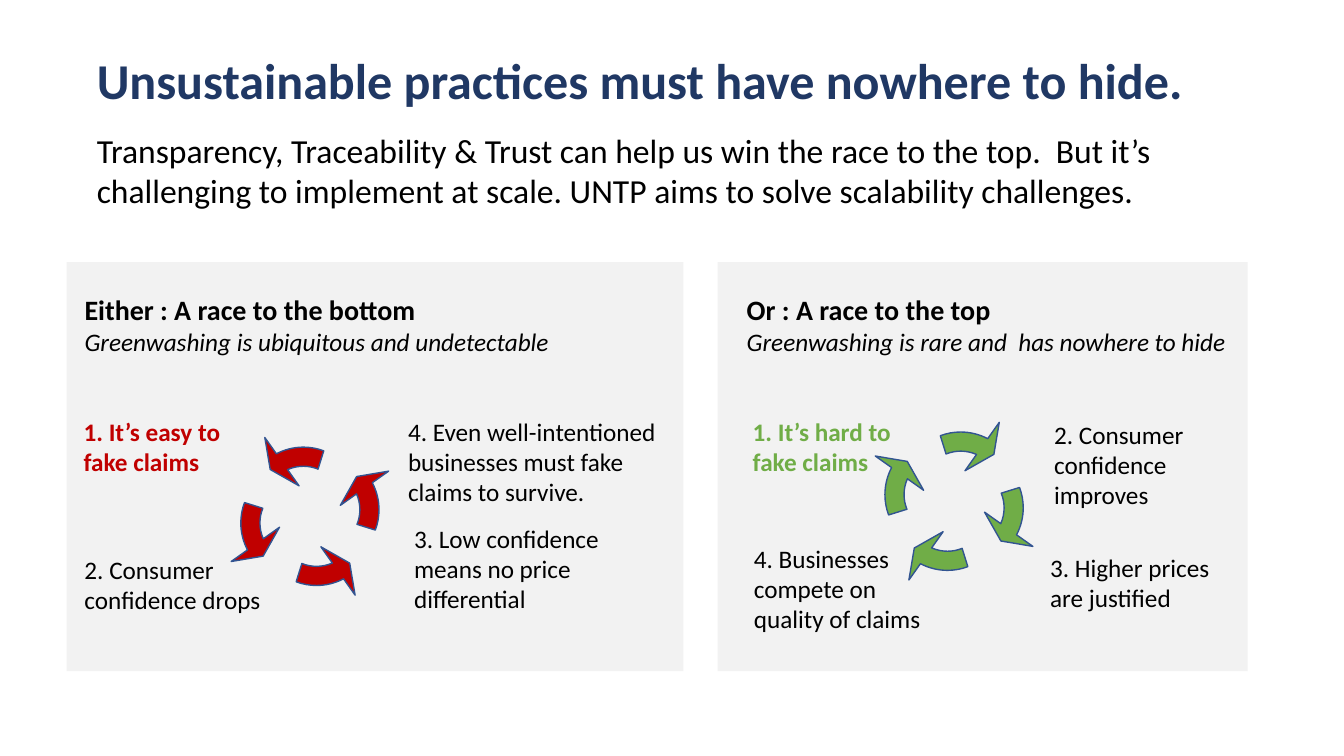
"""Build the slide that contrasts a race to the bottom with a race to the top."""
import math
from dataclasses import dataclass

import pptx
import pptx.dml.color
import pptx.enum.shapes
import pptx.enum.text
import pptx.oxml.ns
import pptx.shapes.autoshape
import pptx.shapes.group
import pptx.text.text
import pptx.util

Pt = pptx.util.Pt
RGBColor = pptx.dml.color.RGBColor
Shape = pptx.shapes.autoshape.Shape
GroupShape = pptx.shapes.group.GroupShape

NAVY = RGBColor(0x20, 0x38, 0x64)
BLACK = RGBColor(0, 0, 0)
PANEL_GREY = RGBColor(0xF2, 0xF2, 0xF2)
RED = RGBColor(0xC0, 0, 0)
GREEN = RGBColor(0x70, 0xAD, 0x47)
OUTLINE_BLUE = RGBColor(0x32, 0x54, 0x91)

FONT = "Calibri"
PANEL_TOP, PANEL_HEIGHT = 187.2, 292.3
HEADING_TOP, HEADING_WIDTH, HEADING_HEIGHT = 205.2, 359.3, 53.3
ARROW_WIDTH, ARROW_HEIGHT, ARROW_SPREAD = 127.4, 118.8, 4.7
ARROW_THICKNESS, ARROW_HEAD_WIDTH = 0.115, 0.178
ARROW_ANGLES = (13.89, 201.44, 162.72)
DEGREE = 0.6


@dataclass(frozen=True)
class Frame:
    left: float
    top: float
    width: float
    height: float


@dataclass(frozen=True)
class Span:
    text: str
    size: float = 18
    color: RGBColor = BLACK
    bold: bool = False
    italic: bool = False


@dataclass(frozen=True)
class Step:
    text: str
    frame: Frame


@dataclass(frozen=True)
class Race:
    left: float
    width: float
    heading_left: float
    heading: str
    subheading: str
    color: RGBColor
    ring_left: float
    ring_top: float
    mirrored: bool
    steps: tuple[Step, ...]


RACES = (
    Race(
        512.6, 378.7, 526.3, "Or : A race to the top",
        "Greenwashing is rare and  has nowhere to hide",
        GREEN, 617.8, 298.6, False,
        (
            Step("1. It’s hard to fake claims", Frame(530.6, 293.8, 118.8, 51)),
            Step("2. Consumer confidence improves", Frame(745.9, 295.9, 123.1, 72.7)),
            Step("3. Higher prices are justified", Frame(743, 391, 142.6, 51)),
            Step("4. Businesses compete on quality of claims", Frame(531.4, 384.5, 155.5, 72.7)),
        ),
    ),
    Race(
        47.5, 440.6, 53.3, "Either : A race to the bottom",
        "Greenwashing is ubiquitous and undetectable",
        RED, 157.7, 309.4, True,
        (
            Step("1. It’s easy to fake claims", Frame(52.6, 293.8, 118.8, 51)),
            Step("2. Consumer confidence drops", Frame(53.3, 392.4, 155.5, 51)),
            Step("3. Low confidence means no price differential", Frame(288.7, 370.1, 147.6, 72.7)),
            Step("4. Even well-intentioned businesses must fake claims to survive.",
                 Frame(284.4, 293.8, 203.8, 72.7)),
        ),
    ),
)


def place(box: Shape, frame: Frame) -> None:
    """Move and size a box."""
    box.left, box.top = Pt(frame.left), Pt(frame.top)
    box.width, box.height = Pt(frame.width), Pt(frame.height)


def write(box: Shape, spans: tuple[Span, ...], wrap: bool = True) -> None:
    """Write one left-aligned paragraph for each span."""
    text_frame = box.text_frame
    text_frame.word_wrap = wrap
    text_frame.auto_size = pptx.enum.text.MSO_AUTO_SIZE.SHAPE_TO_FIT_TEXT
    text_frame.vertical_anchor = pptx.enum.text.MSO_ANCHOR.TOP
    for index, span in enumerate(spans):
        para = text_frame.add_paragraph() if index else text_frame.paragraphs[0]
        para.alignment = pptx.enum.text.PP_ALIGN.LEFT
        para.space_before = Pt(0)
        run = para.add_run()
        run.text = span.text
        font = run.font
        font.name, font.size = FONT, Pt(span.size)
        font.bold, font.italic = span.bold, span.italic
        font.color.rgb = span.color


def remove_bullet(para: pptx.text.text._Paragraph) -> None:
    """Clear the bullet and the indent of a body paragraph."""
    properties = para._p.get_or_add_pPr()
    properties.set("marL", "0")
    properties.set("indent", "0")
    properties.append(pptx.oxml.parse_xml(f"<a:buNone {pptx.oxml.ns.nsdecls('a')}/>"))


def add_text(group: GroupShape, frame: Frame, *spans: Span) -> None:
    """Add a text box to a group."""
    box = group.shapes.add_textbox(
        Pt(frame.left), Pt(frame.top), Pt(frame.width), Pt(frame.height))
    write(box, spans)


def add_filled(group: GroupShape, kind: pptx.enum.shapes.MSO_SHAPE,
               frame: Frame, color: RGBColor) -> Shape:
    """Add a flat filled shape to a group."""
    shape = group.shapes.add_shape(
        kind, Pt(frame.left), Pt(frame.top), Pt(frame.width), Pt(frame.height))
    shape.shadow.inherit = False
    shape.fill.solid()
    shape.fill.fore_color.rgb = color
    return shape


def add_ring(group: GroupShape, race: Race) -> None:
    """Add four arrows that chase each other round a circle."""
    for rotation in (0, 270, 180, 90):
        angle = math.radians(rotation)
        frame = Frame(race.ring_left + ARROW_SPREAD * math.sin(angle),
                      race.ring_top - ARROW_SPREAD * math.cos(angle),
                      ARROW_WIDTH, ARROW_HEIGHT)
        arrow = add_filled(group, pptx.enum.shapes.MSO_SHAPE.CIRCULAR_ARROW, frame, race.color)
        adjustments = (ARROW_THICKNESS, *(value * DEGREE for value in ARROW_ANGLES),
                       ARROW_HEAD_WIDTH)
        for index, value in enumerate(adjustments):
            arrow.adjustments[index] = value
        arrow.line.color.rgb = OUTLINE_BLUE
        arrow.line.width = Pt(1)
        arrow.rotation = rotation
        if race.mirrored:
            arrow._element.spPr.xfrm.set("flipH", "1")


def add_race(page: pptx.slide.Slide, race: Race) -> None:
    """Add a panel with its heading, ring of arrows and steps."""
    group = page.shapes.add_group_shape()
    panel = add_filled(group, pptx.enum.shapes.MSO_SHAPE.RECTANGLE,
                       Frame(race.left, PANEL_TOP, race.width, PANEL_HEIGHT), PANEL_GREY)
    panel.line.fill.background()
    add_text(group, Frame(race.heading_left, HEADING_TOP, HEADING_WIDTH, HEADING_HEIGHT),
             Span(race.heading, size=20, bold=True), Span(race.subheading, italic=True))
    add_ring(group, race)
    for index, step in enumerate(race.steps):
        first = index == 0
        add_text(group, step.frame,
                 Span(step.text, color=race.color if first else BLACK, bold=first))


def main() -> None:
    """Build and save the deck."""
    deck = pptx.Presentation()
    deck.slide_width, deck.slide_height = Pt(960), Pt(540)
    page = deck.slides.add_slide(deck.slide_layouts[1])
    title, body = page.shapes.title, page.placeholders[1]
    place(title, Frame(61.9, 31.7, 797, 50.4))
    write(title, (Span("Unsustainable practices must have nowhere to hide.",
                       35.8, NAVY, bold=True),), wrap=False)
    place(body, Frame(61.9, 89.3, 853.9, 65.5))
    write(body, (Span("Transparency, Traceability & Trust can help us win the race to the top.  "
                      "But it’s challenging to implement at scale. "
                      "UNTP aims to solve scalability challenges.", 24),))
    remove_bullet(body.text_frame.paragraphs[0])
    for race in RACES:
        add_race(page, race)
    deck.save("out.pptx")


if __name__ == "__main__":
    main()
